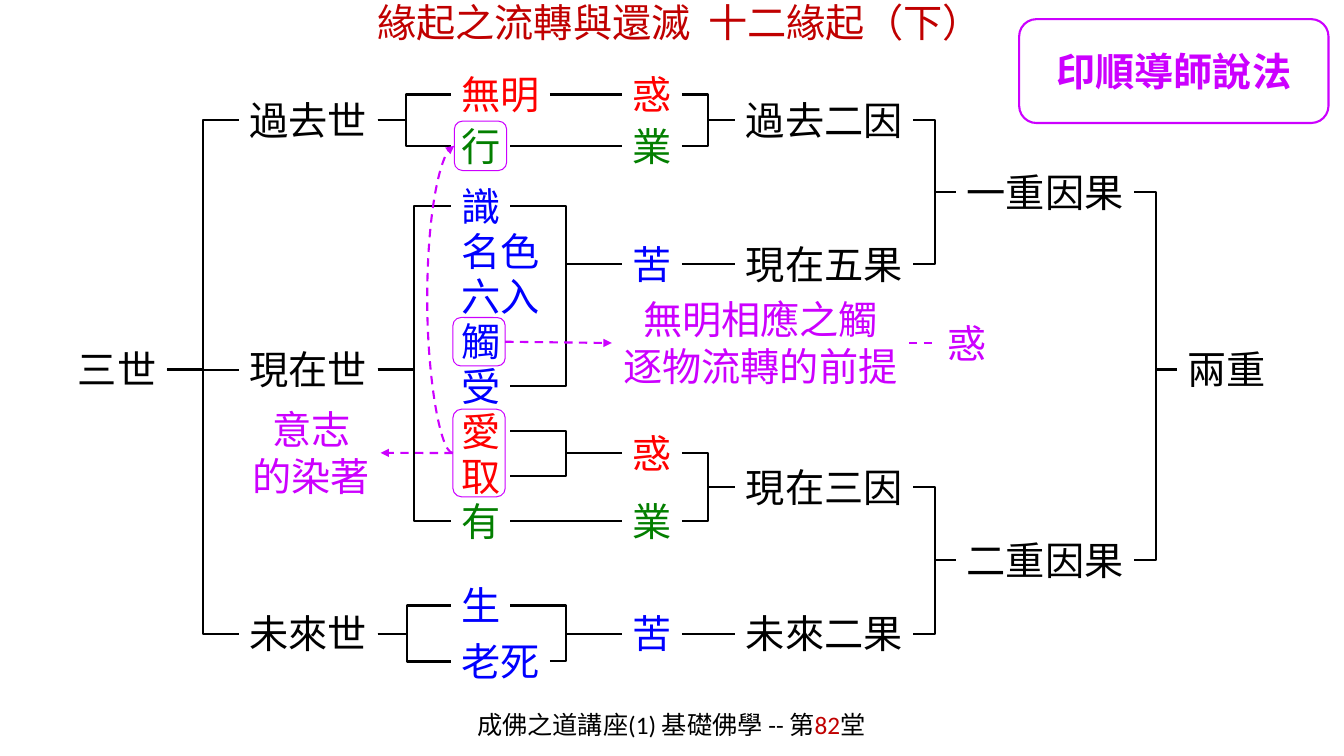
from itertools import product

from lxml import etree
from pptx import Presentation
from pptx.dml.color import RGBColor
from pptx.enum.dml import MSO_LINE
from pptx.enum.shapes import MSO_CONNECTOR, MSO_SHAPE
from pptx.enum.text import MSO_ANCHOR, MSO_AUTO_SIZE, PP_ALIGN
from pptx.oxml import parse_xml
from pptx.oxml.ns import qn
from pptx.util import Pt

STRAIGHT, ELBOW, CURVE = MSO_CONNECTOR.STRAIGHT, MSO_CONNECTOR.ELBOW, MSO_CONNECTOR.CURVE
CENTER, MIDDLE = PP_ALIGN.CENTER, MSO_ANCHOR.MIDDLE
LEFT, RIGHT = 1, 3
CJK = "Noto Sans CJK SC"
BLACK, RED, GREEN, BLUE = "000000", "FF0000", "037F00", "0000FF"
PURPLE, DARK_RED = "CC00FF", "C00000"
SHADOW = (
    '<a:effectLst xmlns:a="http://schemas.openxmlformats.org/drawingml/2006/main">'
    '<a:outerShdw blurRad="38100" dist="38100" dir="2700000" algn="tl">'
    '<a:srgbClr val="000000"><a:alpha val="43000"/></a:srgbClr></a:outerShdw></a:effectLst>'
)


def add_run(p, text, color, size=28, font=CJK, shadow=False):
    r = p.add_run()
    r.text = text
    r.font.size = Pt(size)
    r.font.color.rgb = RGBColor.from_string(color)
    rPr = r.font._element
    if shadow:
        rPr.append(parse_xml(SHADOW))
    r.font.name = font
    ea = etree.Element(qn("a:ea"), typeface=CJK)
    rPr.find(qn("a:latin")).addnext(ea)
    return r


def join(kind, start, start_site, end, end_site, bend=0.5, color=BLACK):
    c = s.shapes.add_connector(kind, 0, 0, 0, 0)
    c.begin_connect(start, start_site)
    c.end_connect(end, end_site)
    c.line.color.rgb = RGBColor.from_string(color)
    c.line.width = Pt(1.5)
    spPr = c._element.spPr
    etree.SubElement(spPr, qn("a:effectLst"))
    if kind != STRAIGHT:
        guides = spPr.find(qn("a:prstGeom")).get_or_add_avLst()
        etree.SubElement(guides, qn("a:gd"), name="adj1", fmla=f"val {round(bend * 100000)}")
    return c


prs = Presentation()
prs.slide_width, prs.slide_height = Pt(960), Pt(540)
s = prs.slides.add_slide(prs.slide_layouts[5])

# Title
title = s.shapes.title
title.left, title.top, title.width, title.height = Pt(25), Pt(-8), Pt(909), Pt(61)
tf = title.text_frame
tf.word_wrap = False
tf.auto_size = MSO_AUTO_SIZE.NONE
tf.vertical_anchor = MIDDLE
p = tf.paragraphs[0]
p.alignment = CENTER
p.line_spacing = Pt(20)
p._p.get_or_add_pPr().set("indent", str(Pt(12)))
add_run(p, "緣起之流轉與還滅  十二緣起（下）", DARK_RED, font="Calibri", shadow=True)

# Footer
sp = s.shapes.add_textbox(Pt(332.5), Pt(502), Pt(294), Pt(31.5))
tf = sp.text_frame
tf.word_wrap = True
tf.vertical_anchor = MIDDLE
p = tf.paragraphs[0]
p.alignment = CENTER
for text, color in (("成佛之道講座(1) 基礎佛學 -- 第", BLACK), ("82", DARK_RED), ("堂", BLACK)):
    add_run(p, text, color, 18, "Calibri", shadow=True)

# Terms by column: left edge, then name, centre height and colour; a digit tells namesakes apart
links_row = [147.4 + 32.1 * i for i in range(8)]
columns = {
    48.25: [("三世", 264, BLACK)],
    170.5: [("過去世", 86, BLACK), ("現在世", 264, BLACK), ("未來世", 452.6, BLACK)],
    322: [("無明", 67.5, RED), ("行", 104.6, GREEN)]
    + list(zip(
        ("識", "名色", "六入", "觸", "受", "愛", "取", "有"),
        links_row,
        [BLUE] * 5 + [RED] * 2 + [GREEN],
    ))
    + [("生", 432.5, BLUE), ("老死", 472.5, BLUE)],
    444.5: [("惑1", 67.5, RED), ("業1", 104.6, GREEN), ("苦1", 188.4, BLUE),
            ("惑2", 323.8, RED), ("業2", links_row[7], GREEN), ("苦2", 452.6, BLUE)],
    525: [("過去二因", 86, BLACK), ("現在五果", 188.4, BLACK),
          ("現在三因", 348, BLACK), ("未來二果", 452.6, BLACK)],
    682.75: [("一重因果", 137.4, BLACK), ("二重因果", 400.3, BLACK)],
    841: [("兩重", 264, BLACK)],
    437: [("無明相應之觸\n逐物流轉的前提", 245, PURPLE)],
    669.5: [("惑3", 245, PURPLE)],
    172.75: [("意志\n的染著", 323.5, PURPLE)],
}
terms = {}
for x, column in columns.items():
    for name, y, color in column:
        lines = name.rstrip("123").split("\n")
        width = 14.25 + 28.3 * max(map(len, lines))
        height = 41.2 + 33.6 * (len(lines) - 1)
        sp = s.shapes.add_textbox(Pt(x), Pt(y - height / 2), Pt(width), Pt(height))
        tf = sp.text_frame
        tf.word_wrap = False
        tf.auto_size = MSO_AUTO_SIZE.SHAPE_TO_FIT_TEXT
        p = tf.paragraphs[0]
        p.alignment = CENTER
        for i, line in enumerate(lines):
            if i:
                p.add_line_break()
            add_run(p, line, color)
        terms[name] = sp

# Brackets: every left term joined to every right term, and where the bend falls
brackets = [
    ("三世", "過去世 現在世 未來世", 0.5),
    ("過去世", "無明 行", 0.39),
    ("現在世", "識 有", 0.5),
    ("未來世", "生 老死", 0.4),
    ("無明", "惑1", 0.5),
    ("行", "業1", 0.5),
    ("識 受", "苦1", 0.5),
    ("愛 取", "惑2", 0.5),
    ("有", "業2", 0.5),
    ("生", "苦2", 0.5),
    ("老死", "苦2", 0.22),
    ("惑1 業1", "過去二因", 0.5),
    ("苦1", "現在五果", 0.5),
    ("惑2 業2", "現在三因", 0.5),
    ("苦2", "未來二果", 0.5),
    ("過去二因 現在五果", "一重因果", 0.5),
    ("現在三因 未來二果", "二重因果", 0.5),
    ("一重因果 二重因果", "兩重", 0.5),
]
for lefts, rights, bend in brackets:
    for a, b in product(lefts.split(), rights.split()):
        kind = STRAIGHT if terms[a].top == terms[b].top else ELBOW
        join(kind, terms[a], RIGHT, terms[b], LEFT, bend)

# Rounded frames around terms, and the speaker's box
frames = {}
for name, x, y, w, h, weight in (
    ("愛取", 323.5, 292.3, 37.4, 62.6, 0.75),
    ("行", 324.5, 86.5, 37.4, 35.3, 0.75),
    ("觸", 323.5, 226.8, 37.4, 34.6, 0.75),
    ("印順導師說法", 728, 13.7, 221, 74.2, 1.5),
):
    sp = s.shapes.add_shape(MSO_SHAPE.ROUNDED_RECTANGLE, Pt(x), Pt(y), Pt(w), Pt(h))
    sp.shadow.inherit = False
    sp.fill.background()
    sp.line.color.rgb = RGBColor.from_string(PURPLE)
    sp.line.width = Pt(weight)
    frames[name] = sp
tf = frames["印順導師說法"].text_frame
tf.vertical_anchor = MIDDLE
p = tf.paragraphs[0]
p.alignment = CENTER
add_run(p, "印順導師說法", PURPLE).font.bold = True

# Dashed links to the remarks
remark = terms["無明相應之觸\n逐物流轉的前提"]
for kind, start, start_site, end, end_site, bend, arrow in (
    (STRAIGHT, frames["觸"], RIGHT, remark, LEFT, 0, True),
    (STRAIGHT, remark, RIGHT, terms["惑3"], LEFT, 0, False),
    (STRAIGHT, frames["愛取"], LEFT, terms["意志\n的染著"], RIGHT, 0, True),
    (CURVE, frames["愛取"], LEFT, frames["行"], LEFT, -18.5, True),
):
    c = join(kind, start, start_site, end, end_site, bend, PURPLE)
    c.line.dash_style = MSO_LINE.DASH
    if arrow:
        etree.SubElement(c.line._get_or_add_ln(), qn("a:tailEnd"), type="triangle")

prs.save("out.pptx")
